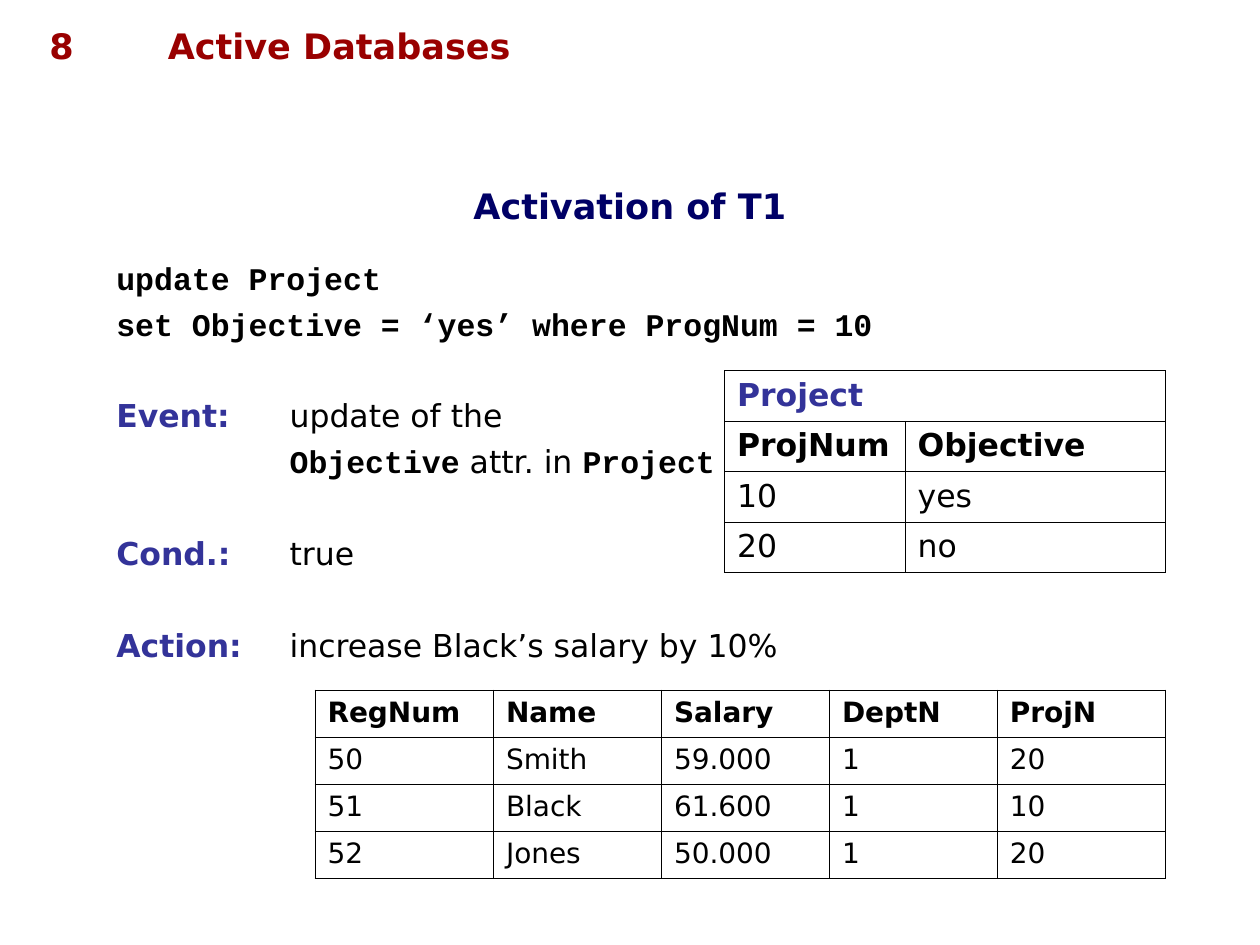
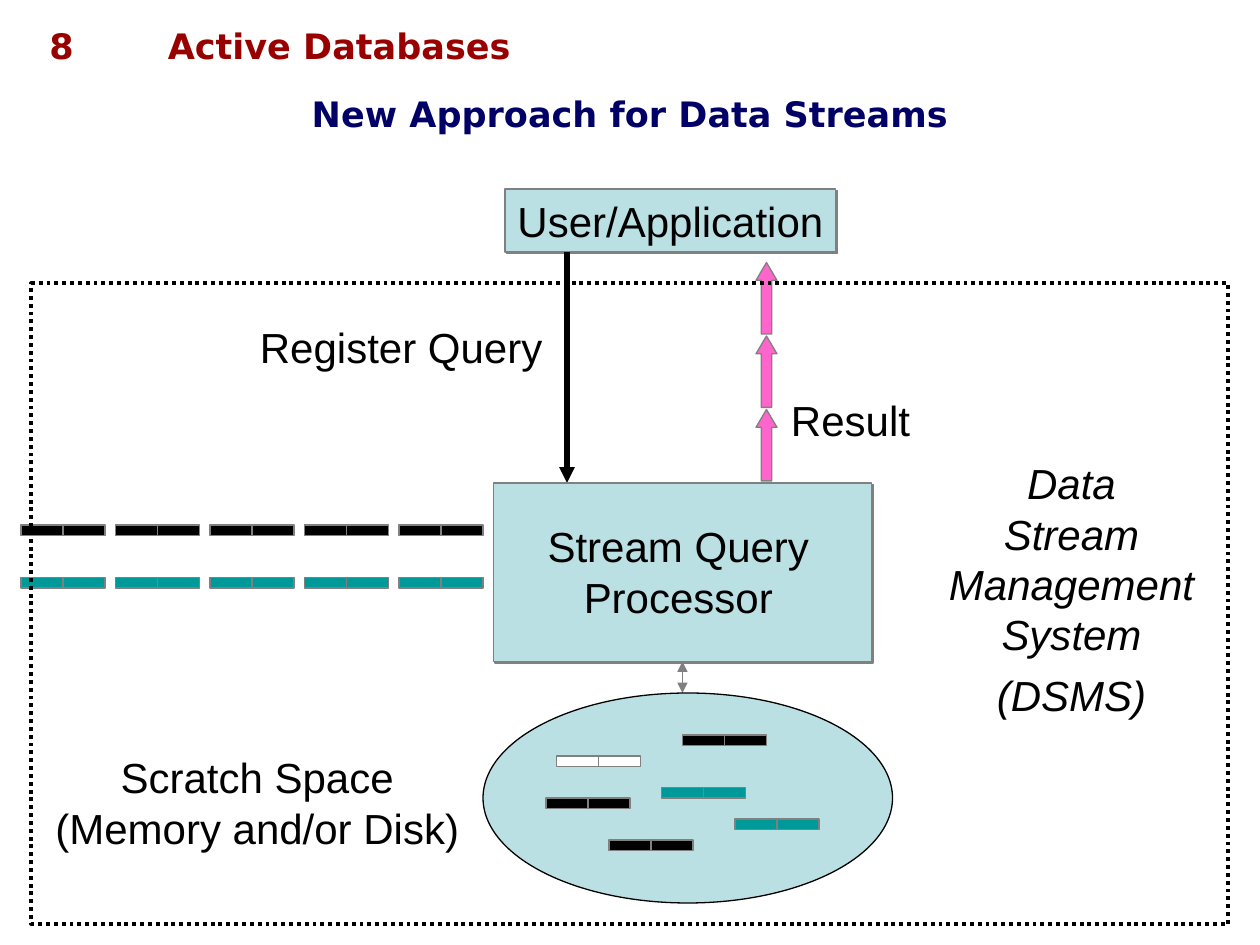
from dataclasses import dataclass
from typing import Any, NamedTuple

from lxml import etree
from pptx import Presentation
from pptx import util as u
from pptx.dml.color import RGBColor
from pptx.enum import dml, shapes, text
from pptx.oxml import ns

EMU_PER_PX = 7620
HEADING_FONT, LABEL_FONT, CODE_FONT = "DejaVu Sans", "Arial", "Courier New"
BLACK, WHITE, GREY = "000000", "FFFFFF", "808080"
RED, NAVY, INDIGO = "990000", "000066", "333399"
PALE, TEAL, PINK = "BBE0E3", "009999", "FF66CC"
TITLE_HEIGHT = 36
TAB_STOP = 165
TUPLE_WIDTH, TUPLE_HEIGHT = 80, 10


class Box(NamedTuple):
    left: int
    top: int
    width: int
    height: int


@dataclass(frozen=True)
class Style:
    size: int
    name: str = HEADING_FONT
    color: str = BLACK
    bold: bool = False
    italic: bool = False


class Run(NamedTuple):
    words: str
    style: Style


class Line(NamedTuple):
    runs: list[Run]
    space_before: float = 0
    space_after: float = 0


@dataclass(frozen=True)
class Grid:
    left: int
    top: int
    columns: list[int]
    row_height: int
    size: int
    rows: list[list[str]]
    caption: str = ""


@dataclass(frozen=True)
class Label:
    box: Box
    lines: list[Line]


class StreamTuple(NamedTuple):
    left: int
    top: int
    color: str


HEADER = Style(20, color=RED, bold=True)
TITLE = Style(20, color=NAVY, bold=True)
PLAIN = Style(18)
KEY = Style(18, color=INDIGO, bold=True)
CODE = Style(18, CODE_FONT, bold=True)
LABEL = Style(24, LABEL_FONT)
SYSTEM = Style(24, LABEL_FONT, italic=True)

RULE_LINES = [
    Line([Run("update Project", CODE)]),
    Line([Run("set Objective = ‘yes’ where ProgNum = 10", CODE)], 4.7),
    Line([Run("Event:\t", KEY), Run("update of the", PLAIN)], 30.4),
    Line([Run("\t", PLAIN), Run("Objective", CODE), Run(" attr. in ", PLAIN), Run("Project", CODE)], 4.7),
    Line([Run("Cond.:\t", KEY), Run("true", PLAIN)], 31),
    Line([Run("Action:\t", KEY), Run("increase Black’s salary by 10%", PLAIN)], 30.6),
]

EMPLOYEES = Grid(300, 657, [170] + [160] * 4, 45, 16, [
    ["RegNum", "Name", "Salary", "DeptN", "ProjN"],
    ["50", "Smith", "59.000", "1", "20"],
    ["51", "Black", "61.600", "1", "10"],
    ["52", "Jones", "50.000", "1", "20"],
])
PROJECTS = Grid(690, 353, [172, 248], 48, 18, [
    ["ProjNum", "Objective"],
    ["10", "yes"],
    ["20", "no"],
], "Project")

INCOMING = [StreamTuple(20 + 90 * step, top, color)
            for top, color in ((500, BLACK), (550, TEAL)) for step in range(5)]
STORED = [
    StreamTuple(700, 780, TEAL),
    StreamTuple(580, 800, BLACK),
    StreamTuple(520, 760, BLACK),
    StreamTuple(630, 750, TEAL),
    StreamTuple(530, 720, WHITE),
    StreamTuple(650, 700, BLACK),
]


def px(value: int) -> int:
    return u.Emu(value * EMU_PER_PX)


def rgb(color: str) -> RGBColor:
    return RGBColor.from_string(color)


def emus(box: Box) -> list[int]:
    return [px(value) for value in box]


def assign(target: Any, values: dict[str, Any]) -> None:
    for name, value in values.items():
        setattr(target, name, value)


def child(parent: Any, tag: str, **attributes: str) -> Any:
    return etree.SubElement(parent, ns.qn(f"a:{tag}"), attributes)


def label_lines(style: Style, *lines: str) -> list[Line]:
    return [Line([Run(line, style)]) for line in lines]


def write(frame: Any, lines: list[Line], align: Any = text.PP_ALIGN.CENTER) -> None:
    for index, line in enumerate(lines):
        paragraph = frame.paragraphs[0] if index == 0 else frame.add_paragraph()
        assign(paragraph, {"alignment": align, "space_before": u.Pt(line.space_before),
                           "space_after": u.Pt(line.space_after)})
        for words, style in line.runs:
            run = paragraph.add_run()
            run.text = words
            assign(run.font, {"size": u.Pt(style.size), "name": style.name,
                              "bold": style.bold, "italic": style.italic})
            run.font.color.rgb = rgb(style.color)


def add_text(slide: Any, label: Label, align: Any = text.PP_ALIGN.CENTER,
             margin_side: int = 12, margin_top: int = 6) -> Any:
    shape = slide.shapes.add_textbox(*emus(label.box))
    assign(shape.text_frame, {"word_wrap": True, "margin_top": px(margin_top),
                              "margin_left": px(margin_side), "margin_right": px(margin_side)})
    write(shape.text_frame, label.lines, align)
    return shape


def add_header(slide: Any) -> None:
    for box, words, align in (
        (Box(148, 17, 1021, 53), "Active Databases", text.PP_ALIGN.LEFT),
        (Box(16, 17, 85, 53), "8", text.PP_ALIGN.CENTER),
    ):
        shape = add_text(slide, Label(box, label_lines(HEADER, words)), align)
        slide.slide_layout.shapes.element.append(shape.element)


def add_title(slide: Any, words: str, top: int) -> None:
    title = slide.shapes.title
    assign(title, dict(zip(Box._fields, emus(Box(0, top, 1200, TITLE_HEIGHT)))))
    assign(title.text_frame, {"margin_top": 0, "margin_bottom": 0, "word_wrap": True,
                              "auto_size": text.MSO_AUTO_SIZE.NONE,
                              "vertical_anchor": text.MSO_ANCHOR.MIDDLE})
    write(title.text_frame, label_lines(TITLE, words))


def format_cell(cell: Any, words: str, style: Style) -> None:
    properties = cell._tc.get_or_add_tcPr()
    for side in ("lnL", "lnR", "lnT", "lnB"):
        border = child(properties, side, w=str(u.Pt(0.45)))
        child(child(border, "solidFill"), "srgbClr", val=BLACK)
    cell.fill.solid()
    cell.fill.fore_color.rgb = rgb(WHITE)
    if words:
        write(cell.text_frame, label_lines(style, words), text.PP_ALIGN.LEFT)


def add_grid(slide: Any, grid: Grid) -> None:
    count = len(grid.columns)
    captions = [[grid.caption] + [""] * (count - 1)] if grid.caption else []
    rows = captions + grid.rows
    box = Box(grid.left, grid.top, sum(grid.columns), grid.row_height * len(rows))
    table = slide.shapes.add_table(len(rows), count, *emus(box)).table
    assign(table, {"first_row": False, "horz_banding": False})
    for column, width in zip(table.columns, grid.columns):
        column.width = px(width)
    if captions:
        table.cell(0, 0).merge(table.cell(0, count - 1))
    for row_index, row in enumerate(rows):
        table.rows[row_index].height = px(grid.row_height)
        is_caption = row_index < len(captions)
        style = Style(grid.size, color=INDIGO if is_caption else BLACK,
                      bold=row_index <= len(captions))
        for column_index, words in enumerate(row):
            format_cell(table.cell(row_index, column_index), words, style)


def add_shape(parent: Any, kind: Any, box: Box, fill: str | None,
              line: str = GREY, width: float = 0.75, shadow: bool = False) -> Any:
    shape = parent.shapes.add_shape(kind, *emus(box))
    shape.shadow.inherit = False
    if fill is None:
        shape.fill.background()
    else:
        shape.fill.solid()
        shape.fill.fore_color.rgb = rgb(fill)
    shape.line.color.rgb = rgb(line)
    shape.line.width = u.Pt(width)
    if shadow:
        effects = shape.element.spPr.find(ns.qn("a:effectLst"))
        outer = child(effects, "outerShdw", dist=str(u.Pt(1.4)), dir="2700000", algn="ctr")
        child(outer, "srgbClr", val=GREY)
    return shape


def add_stream_tuple(slide: Any, item: StreamTuple) -> None:
    group = slide.shapes.add_group_shape()
    half = TUPLE_WIDTH // 2
    for left in (item.left, item.left + half):
        add_shape(group, shapes.MSO_SHAPE.RECTANGLE, Box(left, item.top, half, TUPLE_HEIGHT), item.color)


def add_arrow(slide: Any, left: int, top: int, bottom: int, color: str,
              width: float, ends: list[str]) -> Any:
    connector = slide.shapes.add_connector(
        shapes.MSO_CONNECTOR.STRAIGHT, px(left), px(top), px(left), px(bottom))
    connector.line.color.rgb = rgb(color)
    connector.line.width = u.Pt(width)
    for end in ends:
        child(connector.line._get_or_add_ln(), end, type="triangle")
    child(connector.element.spPr, "effectLst")
    return connector


def build_activation(slide: Any) -> None:
    add_title(slide, "Activation of T1", 178)
    rule = add_text(slide, Label(Box(99, 242, 1042, 583), RULE_LINES),
                    text.PP_ALIGN.LEFT, margin_top=5)
    for paragraph in rule.text_frame.paragraphs:
        tabs = child(paragraph._p.get_or_add_pPr(), "tabLst")
        child(tabs, "tab", pos=str(px(TAB_STOP)), algn="l")
    add_grid(slide, EMPLOYEES)
    add_grid(slide, PROJECTS)


def build_streams(slide: Any) -> None:
    rectangle = shapes.MSO_SHAPE.RECTANGLE
    add_title(slide, "New Approach for Data Streams", 90)
    user = add_shape(slide, rectangle, Box(481, 180, 315, 60), PALE, shadow=True)
    user.text_frame.word_wrap = False
    write(user.text_frame, label_lines(LABEL, "User/Application"))
    add_arrow(slide, 540, 240, 460, BLACK, 3, ["tailEnd"])
    processor = add_shape(slide, rectangle, Box(470, 460, 360, 170), PALE, shadow=True)
    for item in INCOMING:
        add_stream_tuple(slide, item)
    for step in range(3):
        arrow = add_shape(slide, shapes.MSO_SHAPE.UP_ARROW, Box(720, 250 + 70 * step, 20, 68), PINK)
        arrow.adjustments[0], arrow.adjustments[1] = 0.5, 0.85
    exchange = add_arrow(slide, 650, 630, 660, GREY, 0.75, ["headEnd", "tailEnd"])
    exchange.begin_connect(processor, 2)
    add_shape(slide, shapes.MSO_SHAPE.OVAL, Box(460, 660, 390, 200), PALE, BLACK)
    for item in STORED:
        add_stream_tuple(slide, item)
    frame = add_shape(slide, rectangle, Box(30, 270, 1140, 610), None, BLACK, 2.25)
    frame.line.dash_style = dml.MSO_LINE.ROUND_DOT
    system = label_lines(SYSTEM, "Data", "Stream", "Management")
    system += [Line([Run("System", SYSTEM)], space_after=6), Line([Run("(DSMS)", SYSTEM)])]
    for label in (
        Label(Box(230, 300, 304, 60), label_lines(LABEL, "Register Query")),
        Label(Box(510, 490, 272, 108), label_lines(LABEL, "Stream Query", "Processor")),
        Label(Box(740, 370, 140, 60), label_lines(LABEL, "Result")),
        Label(Box(41, 710, 408, 108), label_lines(LABEL, "Scratch Space", "(Memory and/or Disk)")),
        Label(Box(892, 430, 257, 263), system),
    ):
        add_text(slide, label, margin_side=0)


def main() -> None:
    presentation = Presentation()
    assign(presentation, {"slide_width": px(1200), "slide_height": px(900)})
    title_only = presentation.slide_layouts[5]
    activation, streams = (presentation.slides.add_slide(title_only) for _ in range(2))
    add_header(activation)
    build_activation(activation)
    build_streams(streams)
    presentation.save("out.pptx")


if __name__ == "__main__":
    main()
